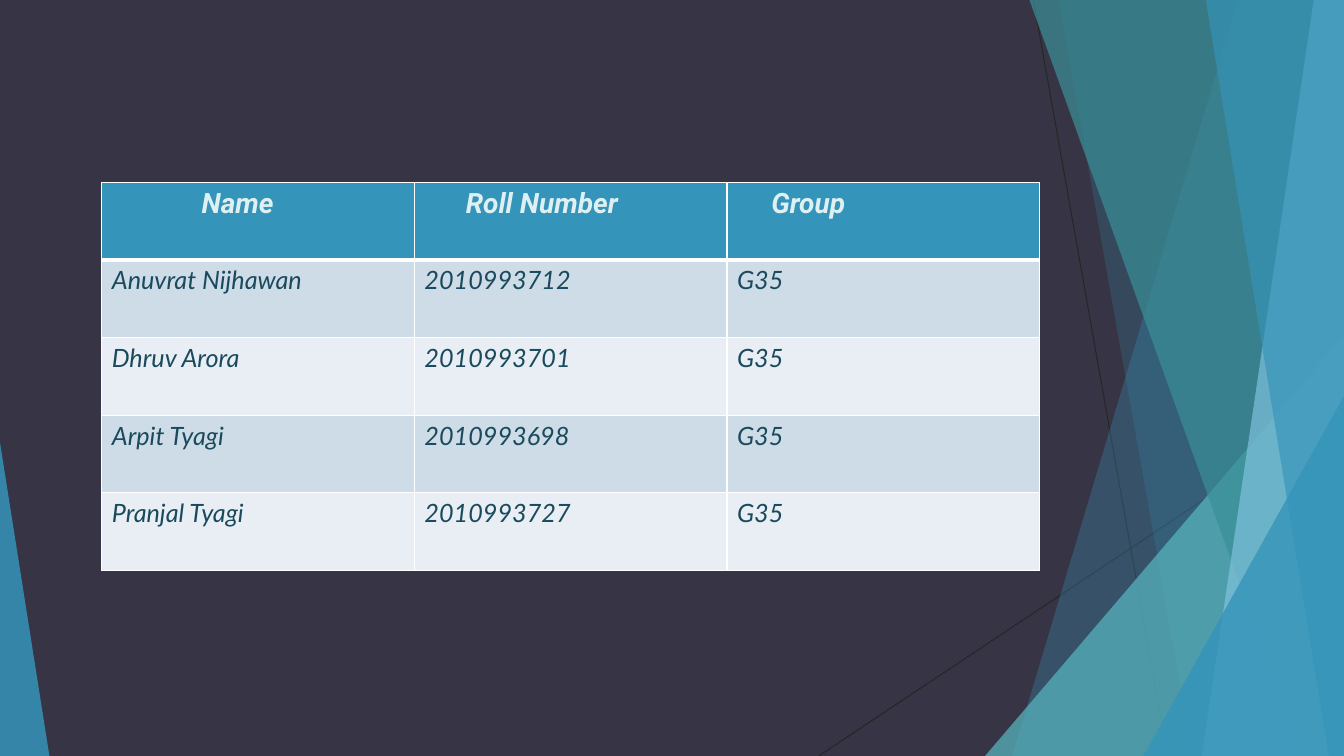
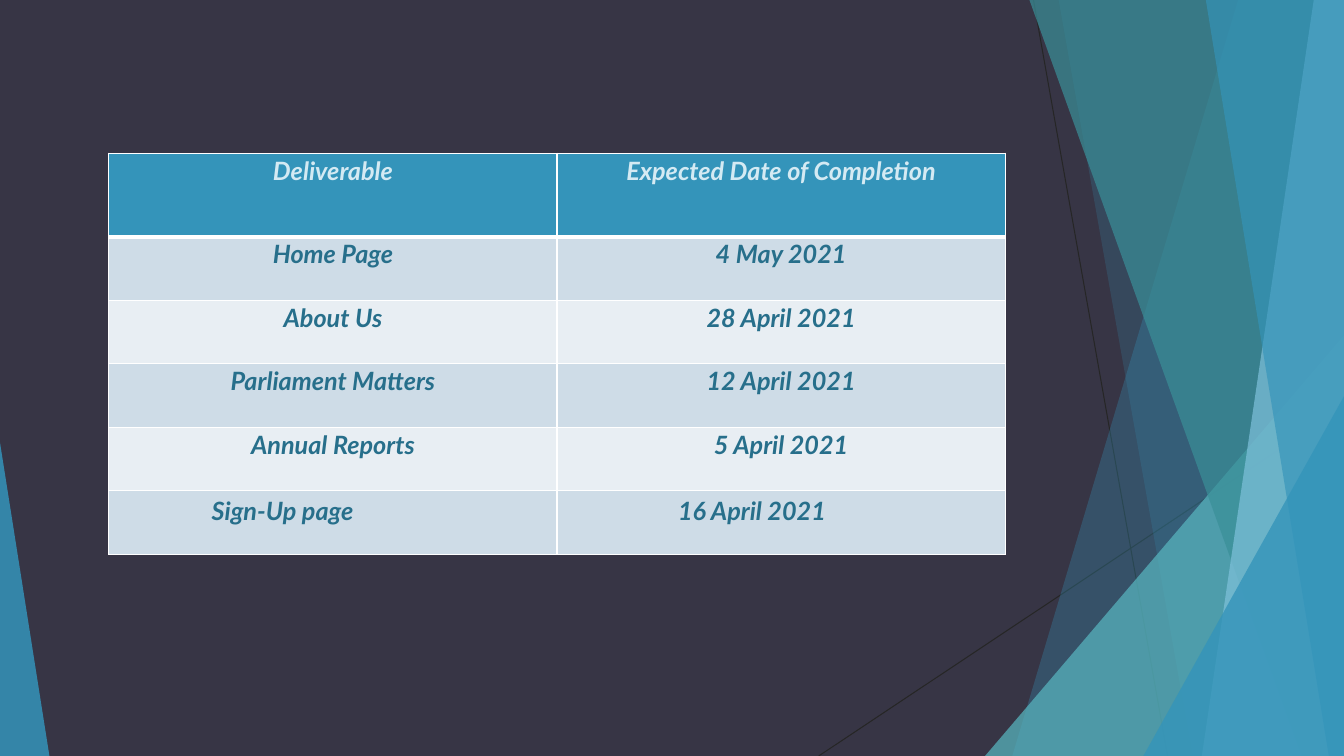
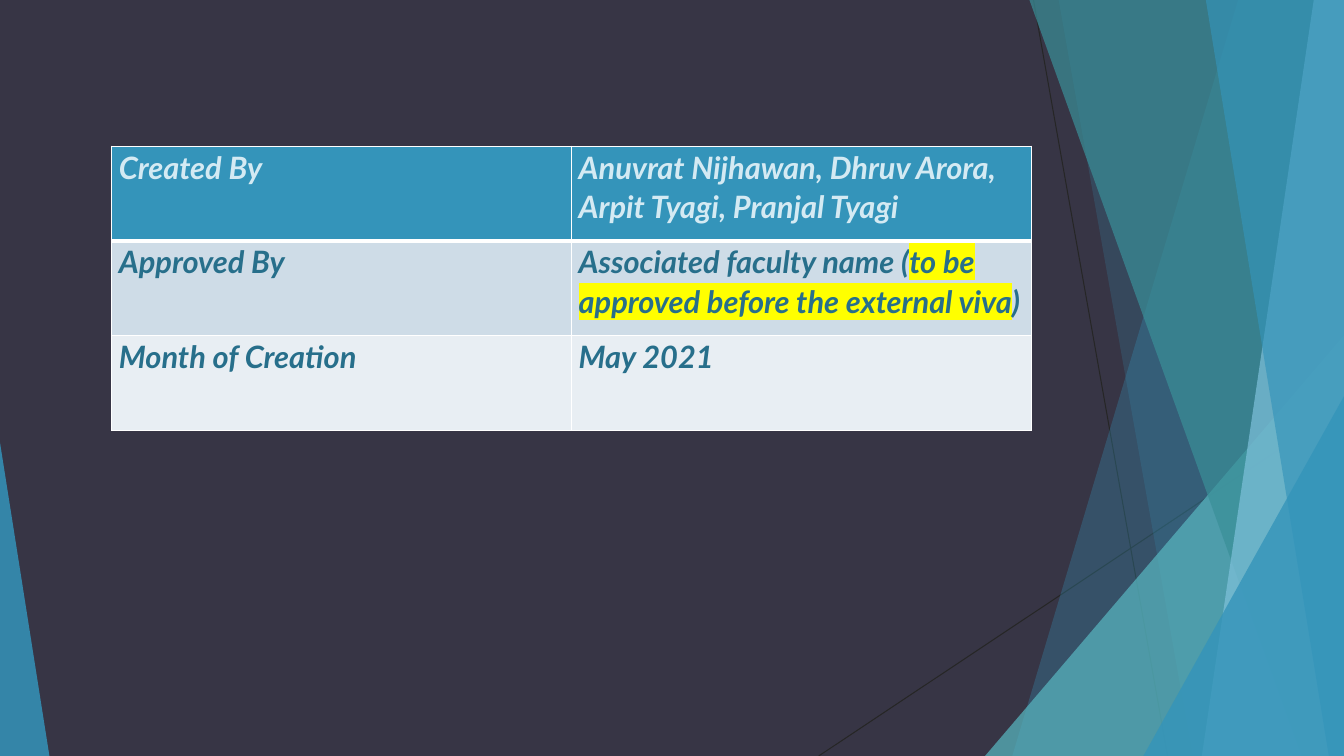
from dataclasses import dataclass

import pptx
import pptx.dml.color
import pptx.enum.shapes
import pptx.enum.text
import pptx.oxml
import pptx.oxml.ns
import pptx.slide
import pptx.table
import pptx.text.text
import pptx.util
from pptx.util import Inches, Pt

COLORS = {
    "background": "373545",
    "rule": "262626",
    "blue": "3494BA",
    "light blue": "7FC1DB",
    "aqua": "58B6C0",
    "teal": "3A8F98",
    "dark band": "CEDCE7",
    "light band": "E8EEF3",
    "border": "FFFFFF",
    "pale aqua": "DEF0F2",
    "pale blue": "D4EAF3",
    "navy": "1A4A5D",
    "steel": "276F8B",
    "highlight": "FFFF00",
}
WIDTH, HEIGHT = 13.33, 7.5


@dataclass
class Rule:
    start: tuple[float, float]
    end: tuple[float, float]


@dataclass
class Facet:
    """A full-height panel from a slanted left edge to the right of the slide."""
    top_x: float
    bottom_x: float
    color: str
    opacity: int


@dataclass
class Wedge:
    """A right triangle standing on the bottom of the slide."""
    left: float
    top: float
    width: float
    apex: float
    color: str
    opacity: int


@dataclass
class TextStyle:
    size: int
    color: str
    font: str = "Lato"
    bold: bool = True


@dataclass
class Cell:
    text: str
    indent: float | None = None
    highlight: str = ""


@dataclass
class TableDesign:
    left: float
    top: float
    width: float
    row_heights: list[float]
    header: TextStyle
    body: TextStyle
    rows: list[list[Cell]]
    centered: bool = False
    spaced: bool = True


DECORATION = [
    Rule((10.25, 0), (11.58, HEIGHT)),
    Rule((WIDTH, 4.03), (8.12, HEIGHT)),
    Facet(12.28, 10.04, "blue", 30),
    Facet(10.5, 11.83, "blue", 20),
    Wedge(9.77, 3.33, 3.56, 1, "aqua", 72),
    Facet(10.21, 12.91, "teal", 70),
    Facet(13.03, 11.92, "light blue", 70),
    Facet(11.96, 13.18, "blue", 65),
    Wedge(11.34, 3.93, 1.99, 1, "blue", 80),
    Wedge(0, 4.39, 0.49, 0, "blue", 85),
]

STUDENTS = [
    ("Anuvrat Nijhawan", "2010993712"),
    ("Dhruv Arora", "2010993701"),
    ("Arpit Tyagi", "2010993698"),
    ("Pranjal Tyagi", "2010993727"),
]
DELIVERABLES = [
    ("Deliverable", "Expected Date of Completion"),
    ("Home Page", "4 May 2021"),
    ("About Us", "28 April 2021"),
    ("Parliament Matters", "12 April 2021"),
    ("Annual Reports", "5 April 2021"),
]

TEAM_TABLE = TableDesign(
    1.01, 1.81, 9.3, [0.77] * 5,
    header=TextStyle(20, "pale aqua", font="Roboto"),
    body=TextStyle(18, "navy", bold=False),
    rows=[[Cell("Name", 0.99), Cell("Roll Number", 0.51), Cell("Group", 0.44)]]
    + [[Cell(name), Cell(roll), Cell("G35")] for name, roll in STUDENTS],
    spaced=False,
)
SCHEDULE_TABLE = TableDesign(
    1.08, 1.52, 8.89, [0.83] + [0.63] * 5,
    header=TextStyle(18, "pale blue"),
    body=TextStyle(18, "steel"),
    rows=[[Cell(text) for text in row] for row in DELIVERABLES]
    + [[Cell("Sign-Up page", 1.02), Cell("16 April 2021", 1.2)]],
    centered=True,
)
APPROVAL_TABLE = TableDesign(
    1.11, 1.45, 9.12, [0.94] * 3,
    header=TextStyle(22, "pale blue"),
    body=TextStyle(22, "steel"),
    rows=[
        [Cell("Created By"),
         Cell("Anuvrat Nijhawan, Dhruv Arora, Arpit Tyagi, Pranjal Tyagi")],
        [Cell("Approved By"),
         Cell("Associated faculty name (to be approved before the external viva)",
              highlight="to be approved before the external viva")],
        [Cell("Month of Creation"), Cell("May 2021")],
    ],
)


def rgb(name: str) -> pptx.dml.color.RGBColor:
    return pptx.dml.color.RGBColor.from_string(COLORS[name])


def xml(markup: str):
    """Parse one DrawingML element given without its namespace declaration."""
    declaration = pptx.oxml.ns.nsdecls("a")
    tag, rest = markup.split(">", 1)
    closing = "/" if tag.endswith("/") else ""
    return pptx.oxml.parse_xml(f"{tag.rstrip('/')} {declaration}{closing}>{rest}")


def draw_rule(slide: pptx.slide.Slide, rule: Rule):
    connector = slide.shapes.add_connector(
        pptx.enum.shapes.MSO_CONNECTOR.STRAIGHT,
        *(Inches(value) for value in rule.start + rule.end))
    connector.line.color.rgb = rgb("rule")
    connector.line.width = Pt(0.75)
    connector.element.spPr.append(xml("<a:effectLst/>"))
    return connector


def draw_panel(slide: pptx.slide.Slide, panel: Facet | Wedge):
    if isinstance(panel, Facet):
        builder = slide.shapes.build_freeform(Inches(panel.top_x), 0, scale=1.0)
        corners = [(WIDTH, 0), (WIDTH, HEIGHT), (panel.bottom_x, HEIGHT)]
        builder.add_line_segments([(Inches(x), Inches(y)) for x, y in corners])
        shape = builder.convert_to_shape()
    else:
        shape = slide.shapes.add_shape(
            pptx.enum.shapes.MSO_SHAPE.ISOSCELES_TRIANGLE,
            Inches(panel.left), Inches(panel.top),
            Inches(panel.width), Inches(HEIGHT - panel.top))
        shape.adjustments[0] = panel.apex
    shape.shadow.inherit = False
    shape.line.fill.background()
    shape.fill.solid()
    shape.fill.fore_color.rgb = rgb(panel.color)
    color = shape.element.xpath("./p:spPr/a:solidFill/a:srgbClr")[0]
    color.append(xml(f'<a:alpha val="{panel.opacity * 1000}"/>'))
    return shape


def decorate_layout(layout: pptx.slide.SlideLayout, slide: pptx.slide.Slide) -> None:
    """Draw the decoration on a slide and move it to the layout all slides use."""
    for placeholder in list(layout.placeholders):
        layout.shapes.element.remove(placeholder.element)
    for item in DECORATION:
        draw = draw_rule if isinstance(item, Rule) else draw_panel
        layout.shapes.element.append(draw(slide, item).element)


def set_borders(cell: pptx.table._Cell, row: int) -> None:
    """White borders, with a thick one under the header row."""
    properties = cell._tc.get_or_add_tcPr()
    thick_side = {0: "B", 1: "T"}.get(row)
    for position, side in enumerate("LRTB"):
        width = Pt(3 if side == thick_side else 1)
        properties.insert(position, xml(
            f'<a:ln{side} w="{width}"><a:solidFill>'
            f'<a:srgbClr val="{COLORS["border"]}"/></a:solidFill></a:ln{side}>'))


def write_runs(paragraph: pptx.text.text._Paragraph, content: Cell,
               style: TextStyle) -> None:
    parts = [content.text]
    if content.highlight:
        parts = content.text.partition(content.highlight)
    for part in parts:
        run = paragraph.add_run()
        run.text = part
        run.font.size = Pt(style.size)
        run.font.name = style.font
        run.font.bold = style.bold
        run.font.italic = True
        run.font.color.rgb = rgb(style.color)
        if part == content.highlight:
            fill = run.font._element.find(pptx.oxml.ns.qn("a:solidFill"))
            fill.addnext(xml(f'<a:highlight><a:srgbClr val="{COLORS["highlight"]}"/>'
                             '</a:highlight>'))


def fill_cell(cell: pptx.table._Cell, row: int, content: Cell,
              design: TableDesign) -> None:
    cell.fill.solid()
    band = "dark band" if row % 2 else "light band"
    cell.fill.fore_color.rgb = rgb(band if row else "blue")
    set_borders(cell, row)
    paragraph = cell.text_frame.paragraphs[0]
    if content.indent is not None:
        cell.margin_left = Inches(content.indent)
    elif design.spaced:
        cell.margin_left = cell.margin_right = Inches(0.07)
        cell.margin_top = cell.margin_bottom = 0
        paragraph.line_spacing = 1.07
        paragraph.space_after = Pt(8)
        if design.centered:
            paragraph.alignment = pptx.enum.text.PP_ALIGN.CENTER
    write_runs(paragraph, content, design.body if row else design.header)


def draw_table(slide: pptx.slide.Slide, design: TableDesign) -> None:
    column_count = len(design.rows[0])
    table = slide.shapes.add_table(
        len(design.rows), column_count, Inches(design.left), Inches(design.top),
        Inches(design.width), Inches(sum(design.row_heights))).table
    for column in table.columns:
        column.width = Inches(design.width / column_count)
    for row, (height, contents) in enumerate(zip(design.row_heights, design.rows)):
        table.rows[row].height = Inches(height)
        for column, content in enumerate(contents):
            fill_cell(table.cell(row, column), row, content, design)


def main() -> None:
    presentation = pptx.Presentation()
    presentation.slide_width = Inches(WIDTH)
    presentation.slide_height = Inches(HEIGHT)
    background = presentation.slide_master.background.fill
    background.solid()
    background.fore_color.rgb = rgb("background")
    layout = presentation.slide_layouts[6]
    designs = [TEAM_TABLE, SCHEDULE_TABLE, APPROVAL_TABLE]
    slides = [presentation.slides.add_slide(layout) for _ in designs]
    decorate_layout(layout, slides[0])
    for slide, design in zip(slides, designs):
        draw_table(slide, design)
    presentation.save("out.pptx")


if __name__ == "__main__":
    main()
